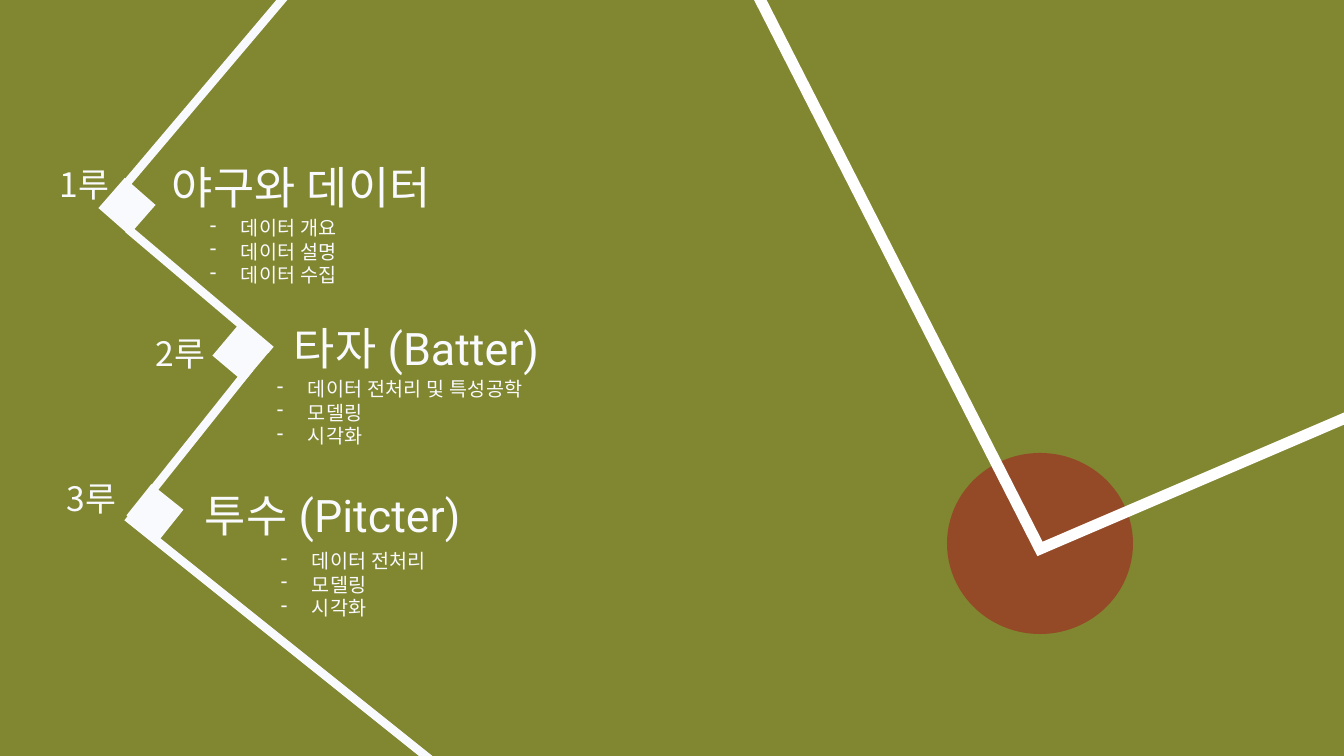
"""Build the baseball-field agenda slide with three bases as chapters."""
from lxml import etree
from pptx import Presentation
from pptx.dml.color import RGBColor
from pptx.enum.shapes import MSO_CONNECTOR as Connector, MSO_SHAPE as Shape
from pptx.oxml.ns import qn
from pptx.util import Pt

PX = 914400 / 100.8
CHALK = "F9FAFD"


def rgb(code):
    return RGBColor.from_string(code)


def write(lines, left, top, width, height, font, size, bullet=None):
    box = slide.shapes.add_textbox(*[round(v * PX) for v in (left, top, width, height)])
    frame = box.text_frame
    frame.word_wrap = True
    for number, line in enumerate(lines):
        paragraph = frame.paragraphs[0] if number == 0 else frame.add_paragraph()
        if bullet:
            layout = paragraph._p.get_or_add_pPr()
            layout.set("marL", str(round(31 * PX)))
            layout.set("indent", str(round(-31 * PX)))
            etree.SubElement(layout, qn("a:buChar")).set("char", bullet)
        run = paragraph.add_run()
        run.text = line
        run.font.name = font
        run.font.size = Pt(size)
        run.font.color.rgb = rgb(CHALK)
        etree.SubElement(run._r.get_or_add_rPr(), qn("a:ea")).set("typeface", font)


prs = Presentation()
prs.slide_width, prs.slide_height = round(1344 * PX), round(756 * PX)
slide = prs.slides.add_slide(prs.slide_layouts[6])
slide.background.fill.solid()
slide.background.fill.fore_color.rgb = rgb("818630")

mound = slide.shapes.add_shape(Shape.OVAL, *[round(v * PX) for v in (947, 453, 186, 181)])
mound.shadow.inherit = False
mound.fill.solid()
mound.fill.fore_color.rgb = rgb("944A27")
mound.line.fill.background()

infield = slide.shapes.add_shape(Shape.DIAMOND, *[round(v * PX) for v in (664, -596, 1140, 1218)])
infield.rotation = 109.9
infield.shadow.inherit = False
infield.fill.background()
infield.line.color.rgb = rgb("FFFFFF")
infield.line.width = Pt(8)
etree.SubElement(infield.line._get_or_add_ln(), qn("a:miter")).set("lim", "800000")

chapters = [
    ("1루", (50, 159), "야구와 데이터", (162, 155),
     ["데이터 개요", "데이터 설명", "데이터 수집"], (200, 211)),
    ("2루", (146, 328), "타자 (Batter)", (284, 316),
     ["데이터 전처리 및 특성공학", "모델링", "시각화"], (267, 372)),
    ("3루", (57, 473), "투수 (Pitcter)", (195, 483),
     ["데이터 전처리", "모델링", "시각화"], (271, 544)),
]
for base_name, base_at, title, title_at, topics, topics_at in chapters:
    write([base_name], *base_at, 125, 50, font="Noto Sans CJK KR", size=24)
    write([title], *title_at, 568, 65, font="Roboto", size=32)
    write(topics, *topics_at, 747, 82, font="Lato", size=14, bullet="-")

base_paths = [
    (292, -12, 121, 190),
    (128, 229, 271, 350),
    (250, 368, 148, 496),
    (127, 517, 447, 773),
]
for ends in base_paths:
    base_path = slide.shapes.add_connector(Connector.STRAIGHT, *[round(v * PX) for v in ends])
    base_path.line.color.rgb = rgb(CHALK)
    base_path.line.width = Pt(6)
    etree.SubElement(base_path._element.spPr, qn("a:effectLst"))

for left, top, angle in [(107, 186, 311.2), (221, 333, 310.1), (135, 492, 308.6)]:
    base = slide.shapes.add_shape(Shape.RECTANGLE, *[round(v * PX) for v in (left, top, 40, 41)])
    base.rotation = angle
    base.shadow.inherit = False
    base.fill.solid()
    base.fill.fore_color.rgb = rgb(CHALK)
    base.line.fill.background()

prs.save("out.pptx")
